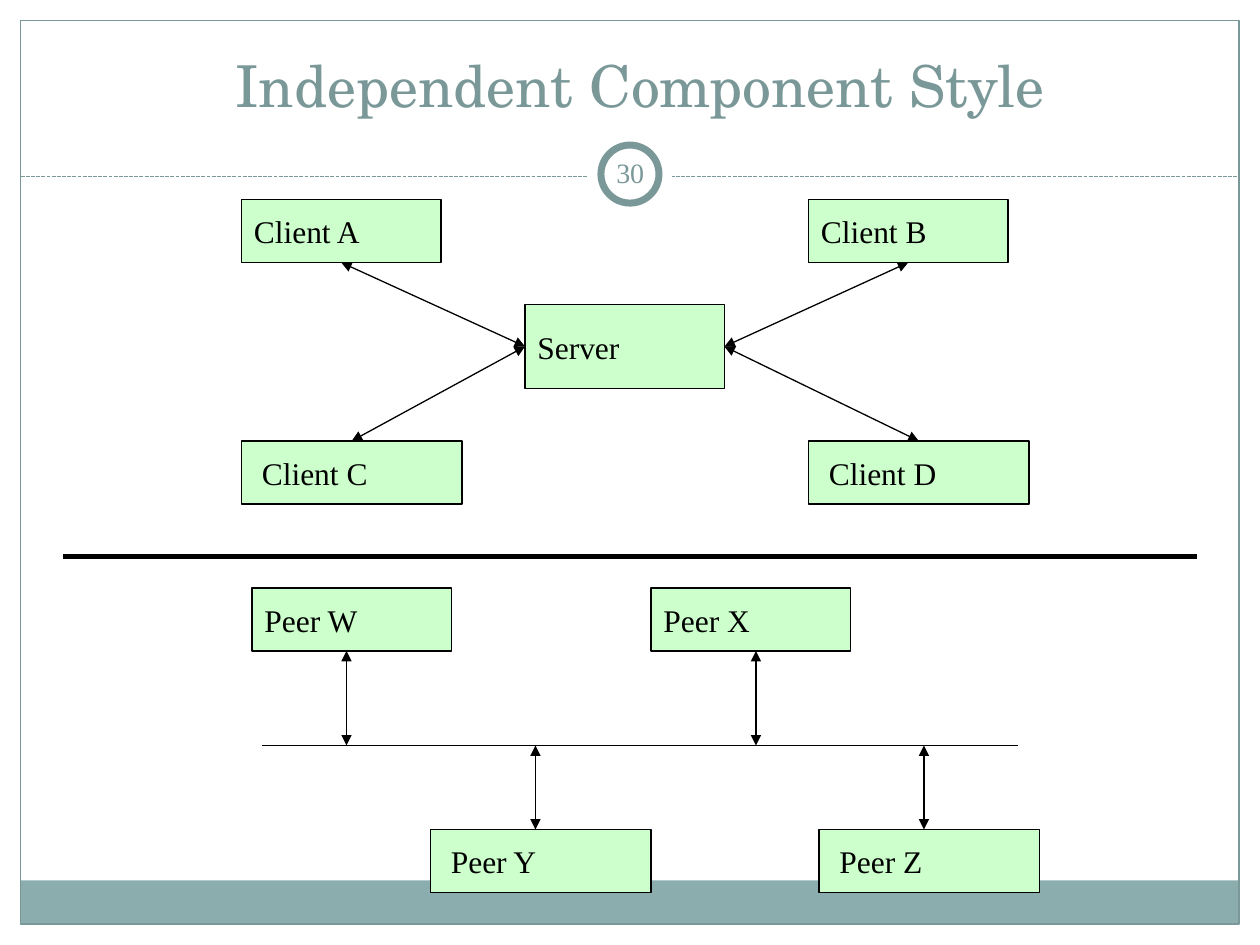
"""Build the Independent Component Style slide: client-server above, peer-to-peer bus below."""
import lxml.etree
import pptx
import pptx.dml.color
import pptx.enum.dml
import pptx.enum.shapes
import pptx.enum.text
import pptx.oxml.ns
import pptx.util
from dataclasses import dataclass

Cm = pptx.util.Cm
Pt = pptx.util.Pt
Shapes = pptx.enum.shapes.MSO_SHAPE
Align = pptx.enum.text.PP_ALIGN
Anchor = pptx.enum.text.MSO_ANCHOR


@dataclass(frozen=True)
class Theme:
    accent: str = "7B9899"
    band: str = "8CADAE"
    paper: str = "FFFFFF"
    ink: str = "000000"
    node: str = "CCFFCC"
    title_font: str = "TeX Gyre Schola"
    body_font: str = "Times New Roman"
    title_size: int = 33
    number_size: int = 16
    node_size: int = 18
    thin: float = 0.75
    ring: int = 4
    thick: int = 3


THEME = Theme()
WIDTH, HEIGHT = 25.4, 19.05
MARGIN = 0.42
BADGE_CENTER = (WIDTH / 2, 3.51)
RULE_Y = 3.56
CELL = WIDTH / 120

TITLE = "Independent Component Style"
PAGE_NUMBER = "30"
NARROW, WIDE = 19, 21
NARROW_INSET, WIDE_INSET = 0.25, 0.41

SERVER = ("Server", 50, 29, NARROW, 8)
CLIENTS = [
    ("Client A", 23, 19, NARROW, 6),
    ("Client B", 77, 19, NARROW, 6),
    ("Client C", 23, 42, WIDE, 6),
    ("Client D", 77, 42, WIDE, 6),
]
PEERS = [
    (("Peer W", 24, 56, NARROW, 6), 33),
    (("Peer X", 62, 56, NARROW, 6), 72),
    (("Peer Y", 41, 79, WIDE, 6), 51),
    (("Peer Z", 78, 79, WIDE, 6), 88),
]
DIVIDER = (6, 114, 53)
BUS = (25, 97, 71)


def color(value):
    return pptx.dml.color.RGBColor.from_string(value)


def add_shape(page, kind, left, top, width, height, fill=None, line=None, weight=THEME.thin):
    shape = page.shapes.add_shape(kind, Cm(left), Cm(top), Cm(width), Cm(height))
    shape.shadow.inherit = False
    if fill:
        shape.fill.solid()
        shape.fill.fore_color.rgb = color(fill)
    else:
        shape.fill.background()
    if line:
        shape.line.color.rgb = color(line)
        shape.line.width = Pt(weight)
    else:
        shape.line.fill.background()
    return shape


def add_circle(page, diameter, **style):
    left, top = (center - diameter / 2 for center in BADGE_CENTER)
    return add_shape(page, Shapes.OVAL, left, top, diameter, diameter, **style)


def add_line(page, start, end, ink=THEME.ink, weight=THEME.thin, arrows=False, dash=None):
    points = [Cm(value) for value in (*start, *end)]
    line = page.shapes.add_connector(pptx.enum.shapes.MSO_CONNECTOR.STRAIGHT, *points)
    line.line.color.rgb = color(ink)
    line.line.width = Pt(weight)
    if dash:
        line.line.dash_style = dash
    if arrows:
        stroke = line.line._get_or_add_ln()
        for tag in ("a:headEnd", "a:tailEnd"):
            lxml.etree.SubElement(stroke, pptx.oxml.ns.qn(tag), type="triangle")
    lxml.etree.SubElement(line._element.spPr, pptx.oxml.ns.qn("a:effectLst"))


def write(box, text, font, size, ink, align, anchor, inset=0.25):
    frame = box.text_frame
    frame.word_wrap = True
    frame.vertical_anchor = anchor
    frame.margin_left = Cm(inset)
    frame.margin_right = Cm(min(inset, 0.25))
    frame.margin_top = frame.margin_bottom = Cm(0.13)
    para = frame.paragraphs[0]
    para.text = text
    para.alignment = align
    para.font.name = font
    para.font.size = Pt(size)
    para.font.color.rgb = color(ink)


def add_text(page, left, top, width, height, *style, **options):
    box = page.shapes.add_textbox(Cm(left), Cm(top), Cm(width), Cm(height))
    write(box, *style, **options)


def add_node(page, node):
    text, *area = node
    box = add_shape(page, Shapes.RECTANGLE, *(CELL * value for value in area),
                    fill=THEME.node, line=THEME.ink)
    inset = WIDE_INSET if area[2] == WIDE else NARROW_INSET
    write(box, text, THEME.body_font, THEME.node_size, THEME.ink,
          Align.LEFT, Anchor.MIDDLE, inset=inset)


def add_grid_line(page, start, end, **style):
    add_line(page, [CELL * v for v in start], [CELL * v for v in end], **style)


def draw_frame(page):
    inner = WIDTH - 2 * MARGIN
    add_shape(page, Shapes.RECTANGLE, MARGIN, 17.75, inner, 0.87, fill=THEME.band)
    add_shape(page, Shapes.RECTANGLE, MARGIN, MARGIN, inner, HEIGHT - 2 * MARGIN,
              line=THEME.accent)
    add_line(page, (MARGIN, RULE_Y), (WIDTH - MARGIN, RULE_Y), ink=THEME.accent,
             dash=pptx.enum.dml.MSO_LINE.SQUARE_DOT)
    add_circle(page, 1.7, fill=THEME.paper)
    add_circle(page, 1.17, fill=THEME.paper, line=THEME.accent, weight=THEME.ring)
    add_text(page, 12.07, 2.87, 1.27, 1.22, PAGE_NUMBER, THEME.body_font,
             THEME.number_size, THEME.accent, Align.CENTER, Anchor.MIDDLE, inset=0.13)
    add_text(page, 2.11, 0.64, 21.59, 1.9, TITLE, THEME.title_font,
             THEME.title_size, THEME.accent, Align.CENTER, Anchor.BOTTOM)


def draw_clients(page):
    add_node(page, SERVER)
    _, server_left, server_top, server_width, server_height = SERVER
    middle = server_top + server_height / 2
    for client in CLIENTS:
        _, left, top, width, height = client
        add_node(page, client)
        side = server_left if left < server_left else server_left + server_width
        edge = top + height if top < server_top else top
        add_grid_line(page, (side, middle), (left + width / 2, edge), arrows=True)


def draw_peers(page):
    bus_left, bus_right, bus_y = BUS
    add_grid_line(page, (bus_left, bus_y), (bus_right, bus_y))
    for peer, x in PEERS:
        _, _, top, _, height = peer
        add_node(page, peer)
        ends = (top + height, bus_y) if top < bus_y else (bus_y, top)
        add_grid_line(page, (x, ends[0]), (x, ends[1]), arrows=True)


def main():
    deck = pptx.Presentation()
    deck.slide_width, deck.slide_height = Cm(WIDTH), Cm(HEIGHT)
    page = deck.slides.add_slide(deck.slide_layouts[6])
    draw_frame(page)
    draw_clients(page)
    left, right, y = DIVIDER
    add_grid_line(page, (left, y), (right, y), weight=THEME.thick)
    draw_peers(page)
    deck.save("out.pptx")


if __name__ == "__main__":
    main()
